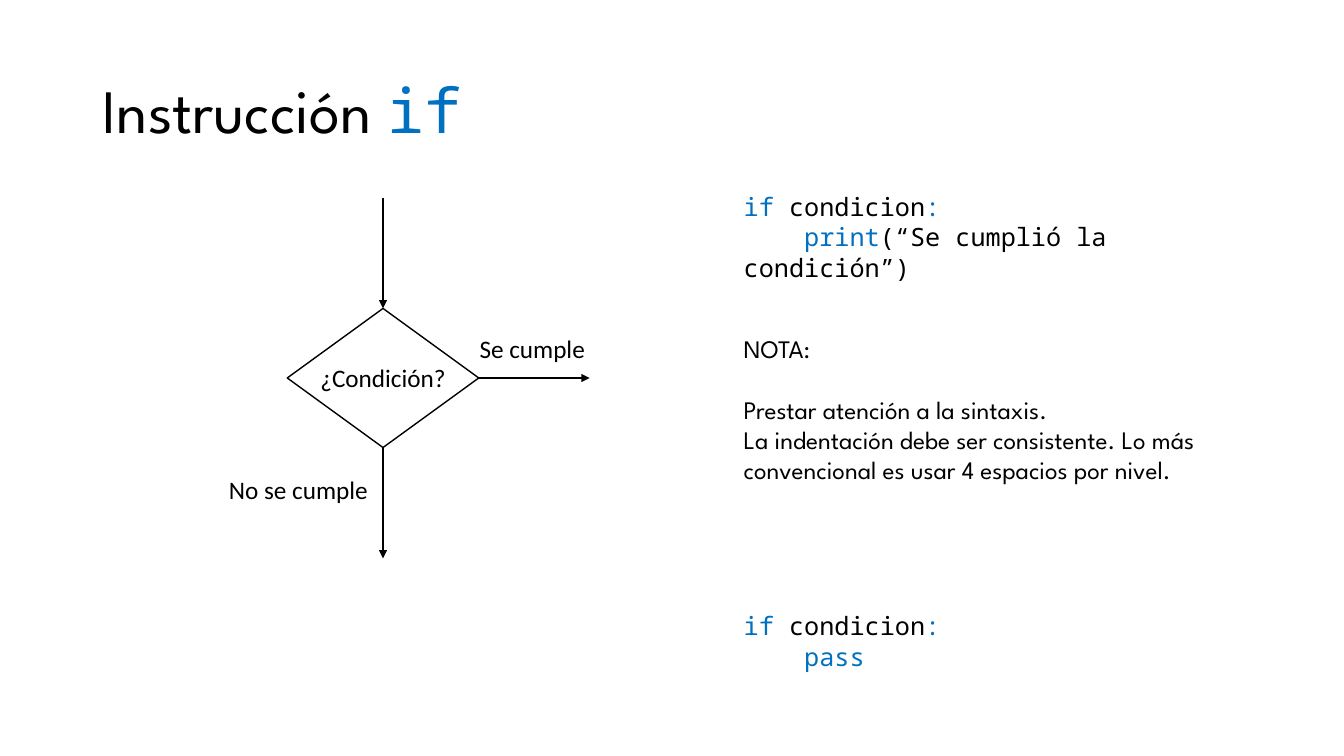
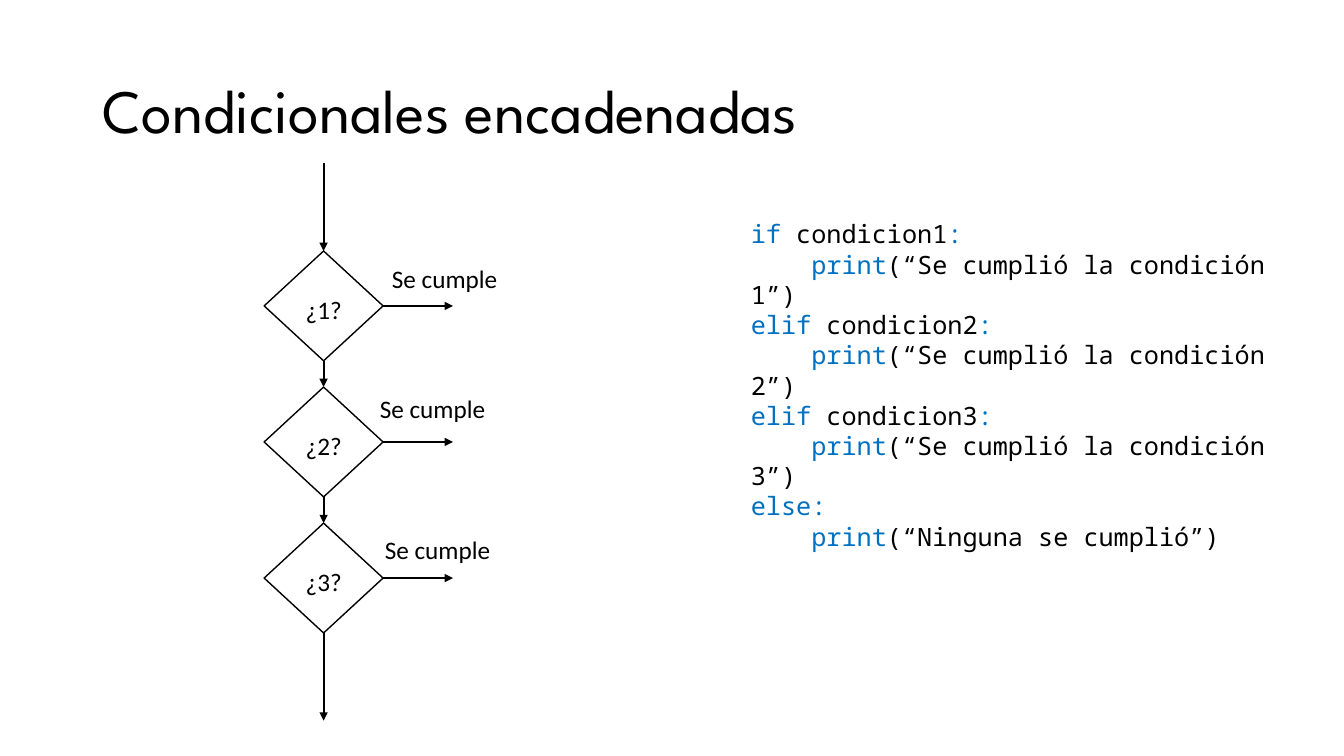
from dataclasses import dataclass

from pptx import Presentation
from pptx.dml.color import RGBColor
from pptx.enum.shapes import MSO_CONNECTOR, MSO_SHAPE
from pptx.enum.text import MSO_ANCHOR, MSO_AUTO_SIZE, PP_ALIGN
from pptx.oxml.ns import qn
from pptx.slide import Slide
from pptx.text.text import TextFrame
from pptx.util import Inches, Length, Pt
from lxml import etree

BLACK = RGBColor(0x00, 0x00, 0x00)
BLUE = RGBColor(0x00, 0x70, 0xC0)

HEADING_FONT = "League Spartan"
CODE_FONT = "Noto Sans Mono"
CHART_FONT = "Calibri"
TITLE_SIZE = Pt(44)
TEXT_SIZE = Pt(18)
CODE_INDENT = Inches(0.6)  # four characters of the code font
NOTE_GAP = Pt(21.6)        # one line of text

WIDTH = Inches(13.333)
HEIGHT = Inches(7.5)

TITLE_ONLY = 5
LEFT = PP_ALIGN.LEFT
CENTER = PP_ALIGN.CENTER
MIDDLE = MSO_ANCHOR.MIDDLE
NO_FIT = MSO_AUTO_SIZE.NONE
GROW = MSO_AUTO_SIZE.SHAPE_TO_FIT_TEXT
STRAIGHT = MSO_CONNECTOR.STRAIGHT
DECISION = MSO_SHAPE.FLOWCHART_DECISION


@dataclass(frozen=True)
class Area:
    """A rectangle in percent of the slide's width and height."""
    left: float
    top: float
    width: float
    height: float


@dataclass(frozen=True)
class Span:
    """A piece of text with one font and colour."""
    text: str
    font: str = CODE_FONT
    color: RGBColor = BLACK


@dataclass(frozen=True)
class Line:
    """A paragraph made of spans."""
    spans: tuple[Span, ...]
    indent: Length = Pt(0)
    space_after: Length = Pt(0)


@dataclass(frozen=True)
class Decision:
    """A decision diamond with its label and outgoing arrows."""
    label: str
    label_width: float
    label_drop: float
    center: float
    top: float
    width: float
    height: float
    side_length: float
    exit_length: float


@dataclass(frozen=True)
class Caption:
    """A centred label beside an arrow."""
    text: str
    left: float
    top: float
    width: float = 11.1


def across(percent: float) -> Length:
    """Turn a share of the slide's width into a length."""
    return Length(round(WIDTH * percent / 100))


def down(percent: float) -> Length:
    """Turn a share of the slide's height into a length."""
    return Length(round(HEIGHT * percent / 100))


def keyword(text: str) -> Span:
    """Return a blue piece of code."""
    return Span(text, color=BLUE)


def condition(word: str, name: str) -> Line:
    """Return the code line that opens a condition."""
    return Line((keyword(f"{word} "), Span(name), keyword(":")))


def print_call(message: str) -> Line:
    """Return an indented line of code that prints a message."""
    return Line((keyword("print"), Span(f"(“{message}”)")), CODE_INDENT)


def note(text: str, space_after: Length = Pt(0)) -> Line:
    """Return a line of plain prose."""
    return Line((Span(text, HEADING_FONT),), space_after=space_after)


def write_lines(frame: TextFrame, lines: tuple[Line, ...], size: Length,
                alignment: PP_ALIGN) -> None:
    """Fill a text frame with formatted paragraphs."""
    frame.text = "\n".join("" for _ in lines)
    for para, line in zip(frame.paragraphs, lines):
        para.alignment = alignment
        para.space_after = line.space_after
        if line.indent:
            properties = para._p.get_or_add_pPr()
            properties.set("marL", "0")
            properties.set("indent", str(int(line.indent)))
        for span in line.spans:
            run = para.add_run()
            run.text = span.text
            run.font.name = span.font
            run.font.size = size
            run.font.color.rgb = span.color


def add_text(slide: Slide, area: Area, lines: tuple[Line, ...],
             alignment: PP_ALIGN = LEFT) -> None:
    """Add a wrapped text box."""
    box = slide.shapes.add_textbox(across(area.left), down(area.top),
                                   across(area.width), down(area.height))
    frame = box.text_frame
    frame.word_wrap = True
    frame.auto_size = GROW
    write_lines(frame, lines, TEXT_SIZE, alignment)


def add_caption(slide: Slide, caption: Caption) -> None:
    """Add a centred flow chart label."""
    area = Area(caption.left, caption.top, caption.width, 5.33)
    add_text(slide, area, (Line((Span(caption.text, CHART_FONT),)),), CENTER)


def add_arrow(slide: Slide, left: float, top: float,
              run: float = 0, drop: float = 0) -> None:
    """Add an arrow that goes right by run and down by drop."""
    arrow = slide.shapes.add_connector(
        STRAIGHT, across(left), down(top), across(left + run), down(top + drop))
    arrow.line.color.rgb = BLACK
    arrow.line.width = Pt(1.5)
    properties = arrow.element.spPr
    head = etree.SubElement(properties.find(qn("a:ln")), qn("a:tailEnd"))
    head.set("type", "triangle")
    etree.SubElement(properties, qn("a:effectLst"))


def add_decision(slide: Slide, step: Decision) -> None:
    """Add a diamond, its label and its two outgoing arrows."""
    diamond = slide.shapes.add_shape(
        DECISION, across(step.center - step.width / 2), down(step.top),
        across(step.width), down(step.height))
    diamond.shadow.inherit = False
    diamond.fill.background()
    diamond.line.color.rgb = BLACK
    diamond.line.width = Pt(1)
    add_caption(slide, Caption(step.label, step.center - step.label_width / 2,
                               step.top + step.label_drop, step.label_width))
    add_arrow(slide, step.center, step.top + step.height, drop=step.exit_length)
    add_arrow(slide, step.center + step.width / 2, step.top + step.height / 2,
              run=step.side_length)


def add_flow(slide: Slide, entry_length: float, steps: list[Decision],
             captions: tuple[Caption, ...]) -> None:
    """Draw a flow chart from its entry arrow to its captions."""
    first = steps[0]
    add_arrow(slide, first.center, first.top - entry_length, drop=entry_length)
    for step in steps:
        add_decision(slide, step)
    for caption in captions:
        add_caption(slide, caption)


def add_titled_slide(deck: Presentation, *spans: Span) -> Slide:
    """Add a slide with the shared title style."""
    slide = deck.slides.add_slide(deck.slide_layouts[TITLE_ONLY])
    title = slide.shapes.title
    title.left, title.top = across(6.9), down(5.33)
    title.width, title.height = across(86.25), down(19.33)
    frame = title.text_frame
    frame.word_wrap = True
    frame.auto_size = NO_FIT
    frame.vertical_anchor = MIDDLE
    write_lines(frame, (Line(spans),), TITLE_SIZE, LEFT)
    frame.paragraphs[0].line_spacing = 0.9
    return slide


def build_if_slide(deck: Presentation) -> None:
    """Build the slide about a single condition."""
    slide = add_titled_slide(deck, Span("Instrucción ", HEADING_FONT), keyword("if"))
    step = Decision("¿Condición?", label_width=11.1, label_drop=6.53,
                    center=28.5, top=40.8, width=14.25, height=18.4,
                    side_length=8.25, exit_length=14.67)
    add_flow(slide, 14.67, [step], (
        Caption("Se cumple", 34.05, 43.47),
        Caption("No se cumple", 15.9, 62.13, 12.6),
    ))
    opening = condition("if", "condicion")
    column, width = 54.6, 40.13
    add_text(slide, Area(column, 24.67, width, 9.47),
             (opening, print_call("Se cumplió la condición")))
    add_text(slide, Area(column, 43.47, width, 25.6), (
        note("NOTA:", NOTE_GAP),
        note("Prestar atención a la sintaxis."),
        note("La indentación debe ser consistente. "
             "Lo más convencional es usar 4 espacios por nivel."),
    ))
    add_text(slide, Area(column, 80.13, width, 9.47),
             (opening, Line((keyword("pass"),), CODE_INDENT)))


def build_chain_slide(deck: Presentation) -> None:
    """Build the slide about chained conditions."""
    slide = add_titled_slide(deck, Span("Condicionales encadenadas", HEADING_FONT))
    words = ("if", "elif", "elif")
    pitch, height, end_length = 18, 14.53, 11.6
    steps: list[Decision] = []
    code: list[Line] = []
    for number, word in enumerate(words, start=1):
        is_last = number == len(words)
        steps.append(Decision(
            f"¿{number}?", label_width=6.9, label_drop=5.07,
            center=24.08, top=33.2 + pitch * (number - 1), width=8.85, height=height,
            side_length=5.2, exit_length=end_length if is_last else pitch - height))
        code += [condition(word, f"condicion{number}"),
                 print_call(f"Se cumplió la condición {number}")]
    code += [Line((keyword("else:"),)), print_call("Ninguna se cumplió")]
    places = ((27.53, 34.13), (26.63, 51.33), (27, 70))
    add_flow(slide, end_length, steps,
             tuple(Caption("Se cumple", left, top) for left, top in places))
    add_text(slide, Area(55.13, 28.27, 42.53, 37.73), tuple(code))


def main() -> None:
    """Build and save the deck."""
    deck = Presentation()
    deck.slide_width, deck.slide_height = WIDTH, HEIGHT
    build_if_slide(deck)
    build_chain_slide(deck)
    deck.save("out.pptx")


main()
